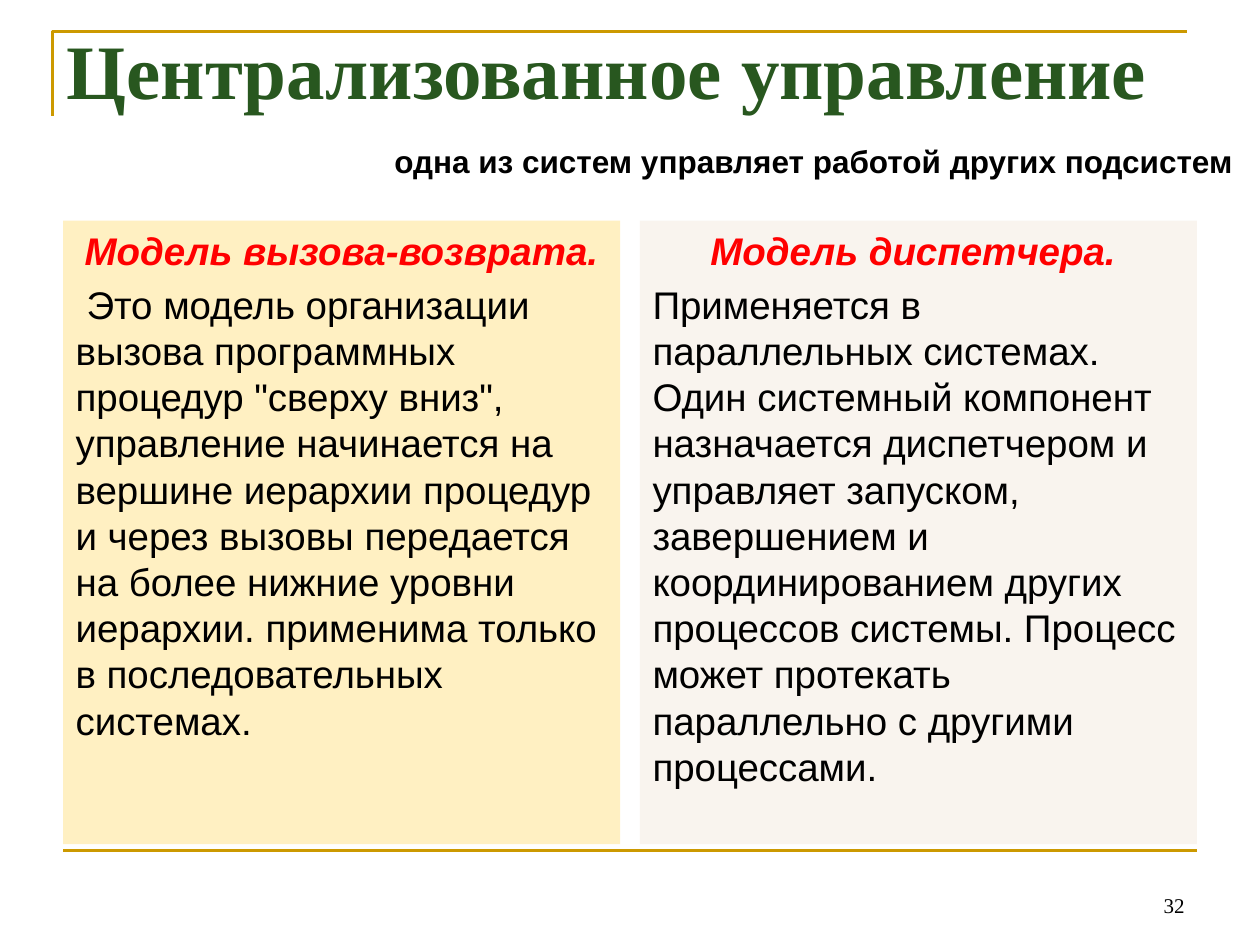
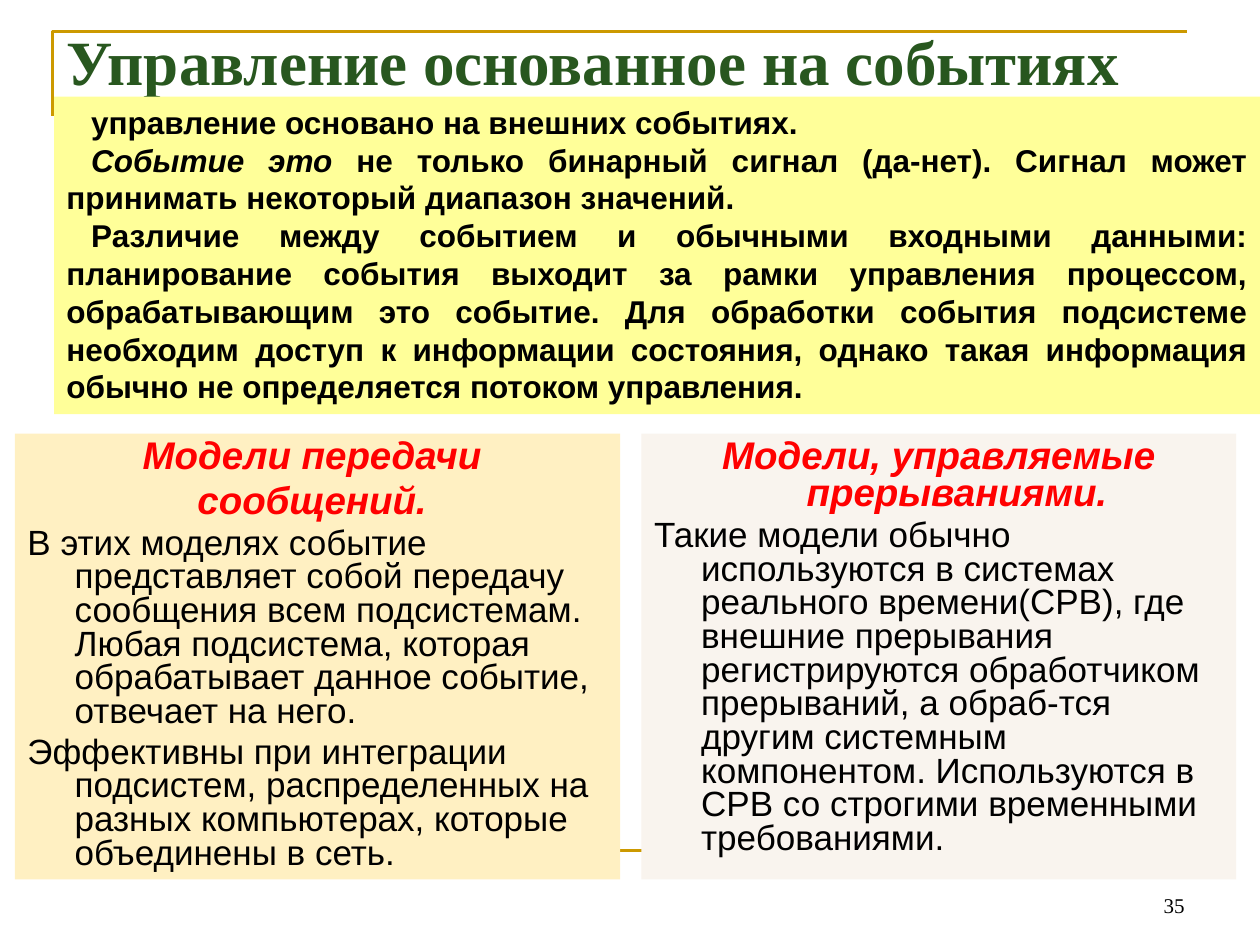
"""Build two slides on centralised and event-driven control models."""
from pptx import Presentation
from pptx.dml.color import RGBColor
from pptx.enum.shapes import MSO_CONNECTOR as Connector, MSO_SHAPE as Shape
from pptx.enum.text import MSO_ANCHOR as Anchor, MSO_AUTO_SIZE as AutoSize, PP_ALIGN as Align
from pptx.oxml.ns import qn
from pptx.util import Cm, Pt

GOLD = RGBColor(0xCC, 0x99, 0x00)
GREEN = RGBColor(0x28, 0x57, 0x1F)
RED = RGBColor(0xFF, 0x00, 0x00)
BLACK = RGBColor(0x00, 0x00, 0x00)
CREAM = RGBColor(0xFF, 0xF0, 0xC2)
LINEN = RGBColor(0xF9, 0xF4, 0xEE)
YELLOW = RGBColor(0xFF, 0xFF, 0x99)

TITLE_FONT = dict(name="Times New Roman", bold=True, color=GREEN)
NUMBER_FONT = dict(name="Times New Roman", size=Pt(12), color=BLACK)
HEADING_FONT = dict(name="Arial", size=Pt(22), bold=True, italic=True, color=RED)
BODY_FONT = dict(name="Arial", bold=False, italic=False, color=BLACK)
STRONG_FONT = dict(name="Arial", size=Pt(18), bold=True, color=BLACK)

HANGING = dict(left=0.95, first=-0.95)

PAGES = [
    dict(
        title="Централизованное управление", title_size=44, number="32",
        top=4.45, height=12.57, body_size=22, spacing=1.0, indent={},
        note=dict(place=(7.7, 2.74, 17.7, 1.02), fill=None, align=Align.LEFT, first=0,
                  lines=[[("одна из систем управляет работой других подсистем", False)]]),
        columns=[
            dict(left=1.27, width=11.23, fill=CREAM, first=0.22,
                 headings=["Модель вызова-возврата."],
                 texts=["Это модель организации вызова программных процедур \"сверху вниз\", "
                        "управление начинается на вершине иерархии процедур и через вызовы "
                        "передается на более нижние уровни иерархии. применима только в "
                        "последовательных системах."]),
            dict(left=12.9, width=11.23, fill=LINEN,
                 headings=["Модель диспетчера. "],
                 texts=["Применяется в параллельных системах. Один системный компонент "
                        "назначается диспетчером и управляет запуском, завершением и "
                        "координированием других процессов системы. Процесс может "
                        "протекать параллельно с другими процессами."]),
        ],
    ),
    dict(
        title="Управление основанное на событиях", title_size=36, number="35",
        top=8.74, height=8.99, body_size=20, spacing=0.8, indent=HANGING,
        note=dict(place=(1.09, 1.95, 24.31, 6.4), fill=YELLOW, align=Align.JUSTIFY, first=0.5,
                  lines=[
                      [("управление основано на внешних событиях. ", False)],
                      [("Событие это", True),
                       (" не только бинарный сигнал (да-нет). Сигнал может принимать "
                        "некоторый диапазон значений. ", False)],
                      [("Различие между событием и обычными входными данными: планирование "
                        "события выходит за рамки управления процессом, обрабатывающим это "
                        "событие. Для обработки события подсистеме необходим доступ к "
                        "информации состояния, однако такая информация обычно не "
                        "определяется потоком управления.", False)],
                  ]),
        columns=[
            dict(left=0.3, width=12.2, fill=CREAM,
                 headings=["Модели передачи ", "сообщений. "],
                 texts=["В этих моделях событие представляет собой передачу сообщения всем "
                        "подсистемам. Любая подсистема, которая обрабатывает данное событие, "
                        "отвечает на него.",
                        "Эффективны при интеграции подсистем, распределенных на разных "
                        "компьютерах, которые объединены в сеть."]),
            dict(left=12.93, width=11.99, fill=LINEN,
                 headings=["Модели, управляемые прерываниями. "],
                 texts=["Такие модели обычно используются в системах реального времени(СРВ), "
                        "где внешние прерывания регистрируются обработчиком прерываний, а "
                        "обраб-тся другим системным компонентом. Используются в СРВ со "
                        "строгими временными требованиями."]),
        ],
    ),
]


def set_format(target, values):
    for name, value in values.items():
        if name == "color":
            target.color.rgb = value
        else:
            setattr(target, name, value)


def place_box(box, left, top, width, height):
    set_format(box, dict(left=Cm(left), top=Cm(top), width=Cm(width), height=Cm(height)))


def prepare_frame(box, anchor=Anchor.TOP):
    frame = box.text_frame
    set_format(frame, dict(word_wrap=True, auto_size=AutoSize.NONE, vertical_anchor=anchor))
    return frame


def add_para(frame, spans, align=Align.LEFT, left=0, first=0, spacing=1.0, before=0):
    para = frame.paragraphs[0]
    if para.runs:
        para = frame.add_paragraph()
    set_format(para, dict(alignment=align, line_spacing=spacing,
                          space_before=Pt(before), space_after=Pt(0)))
    properties = para._p.get_or_add_pPr()
    properties.set("marL", str(Cm(left)))
    properties.set("indent", str(Cm(first)))
    properties.append(properties.makeelement(qn("a:buNone"), {}))
    for text, font in spans:
        span = para.add_run()
        span.text = text
        set_format(span.font, font)


def add_frame_lines(page):
    builder = page.shapes.build_freeform(Cm(1.06), Cm(2.33))
    builder.add_line_segments([(Cm(1.06), Cm(0.64)), (Cm(23.93), Cm(0.64))], close=False)
    corner = builder.convert_to_shape()
    corner.fill.background()
    corner.shadow.inherit = False
    rule = page.shapes.add_connector(Connector.STRAIGHT, Cm(1.27), Cm(17.15), Cm(24.13), Cm(17.15))
    properties = rule._element.spPr
    for line in (corner, rule):
        set_format(line.line, dict(color=GOLD, width=Pt(1.5)))
        page.shapes._spTree.insert(2, line._element)
    properties.append(properties.makeelement(qn("a:effectLst"), {}))


def add_title(page, text, size):
    box = page.shapes.title
    place_box(box, 1.09, 0.33, 22.86, 3.18)
    add_para(prepare_frame(box), [(text, TITLE_FONT | dict(size=Pt(size)))])


def add_column(box, content, column):
    place_box(box, column["left"], content["top"], column["width"], content["height"])
    box.fill.solid()
    box.fill.fore_color.rgb = column["fill"]
    frame = prepare_frame(box)
    size = content["body_size"]
    shared = dict(spacing=content["spacing"]) | content["indent"]
    for index, heading in enumerate(column["headings"]):
        add_para(frame, [(heading, HEADING_FONT)], Align.CENTER, before=4.4 * index, **shared)
    if "first" in column:
        shared["first"] = column["first"]
    for text in column["texts"]:
        add_para(frame, [(text, BODY_FONT | dict(size=Pt(size)))], before=size / 5, **shared)


def add_text_box(page, place):
    return page.shapes.add_textbox(*map(Cm, place))


def add_note(page, note):
    if note["fill"] is None:
        box = add_text_box(page, note["place"])
    else:
        box = page.shapes.add_shape(Shape.RECTANGLE, *map(Cm, note["place"]))
        box.shadow.inherit = False
        box.fill.solid()
        box.fill.fore_color.rgb = note["fill"]
        box.line.fill.background()
    frame = prepare_frame(box)
    for line in note["lines"]:
        spans = [(text, STRONG_FONT | dict(italic=italic)) for text, italic in line]
        add_para(frame, spans, note["align"], first=note["first"])


def add_page(deck, content):
    page = deck.slides.add_slide(deck.slide_layouts[3])
    add_frame_lines(page)
    add_title(page, content["title"], content["title_size"])
    for index, column in enumerate(content["columns"], start=1):
        add_column(page.placeholders[index], content, column)
    number = add_text_box(page, (18.2, 17.35, 5.93, 1.27))
    add_para(prepare_frame(number, Anchor.BOTTOM), [(content["number"], NUMBER_FONT)], Align.RIGHT)
    add_note(page, content["note"])


def main():
    deck = Presentation()
    set_format(deck, dict(slide_width=Cm(25.4), slide_height=Cm(19.05)))
    for content in PAGES:
        add_page(deck, content)
    deck.save("out.pptx")


if __name__ == "__main__":
    main()
